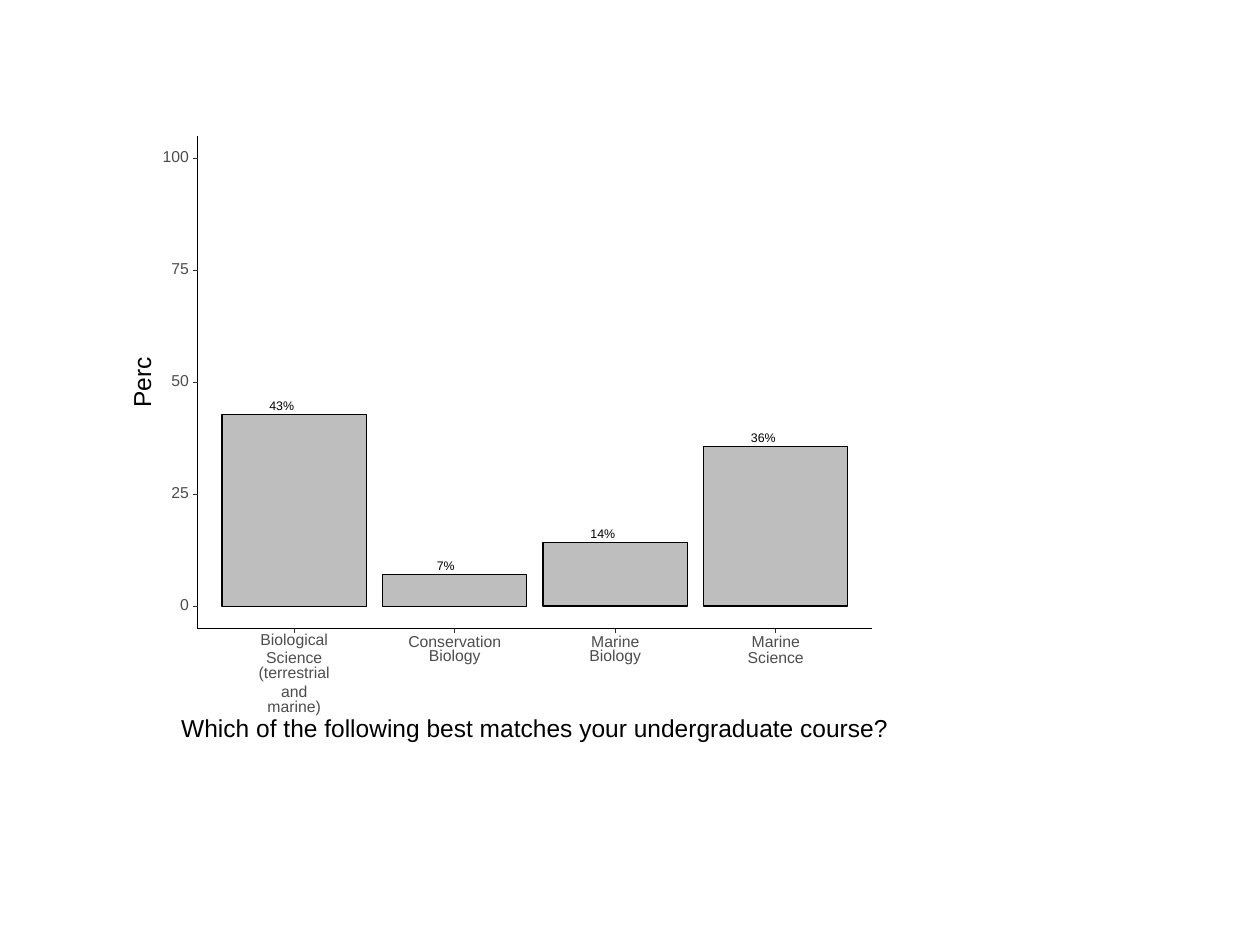
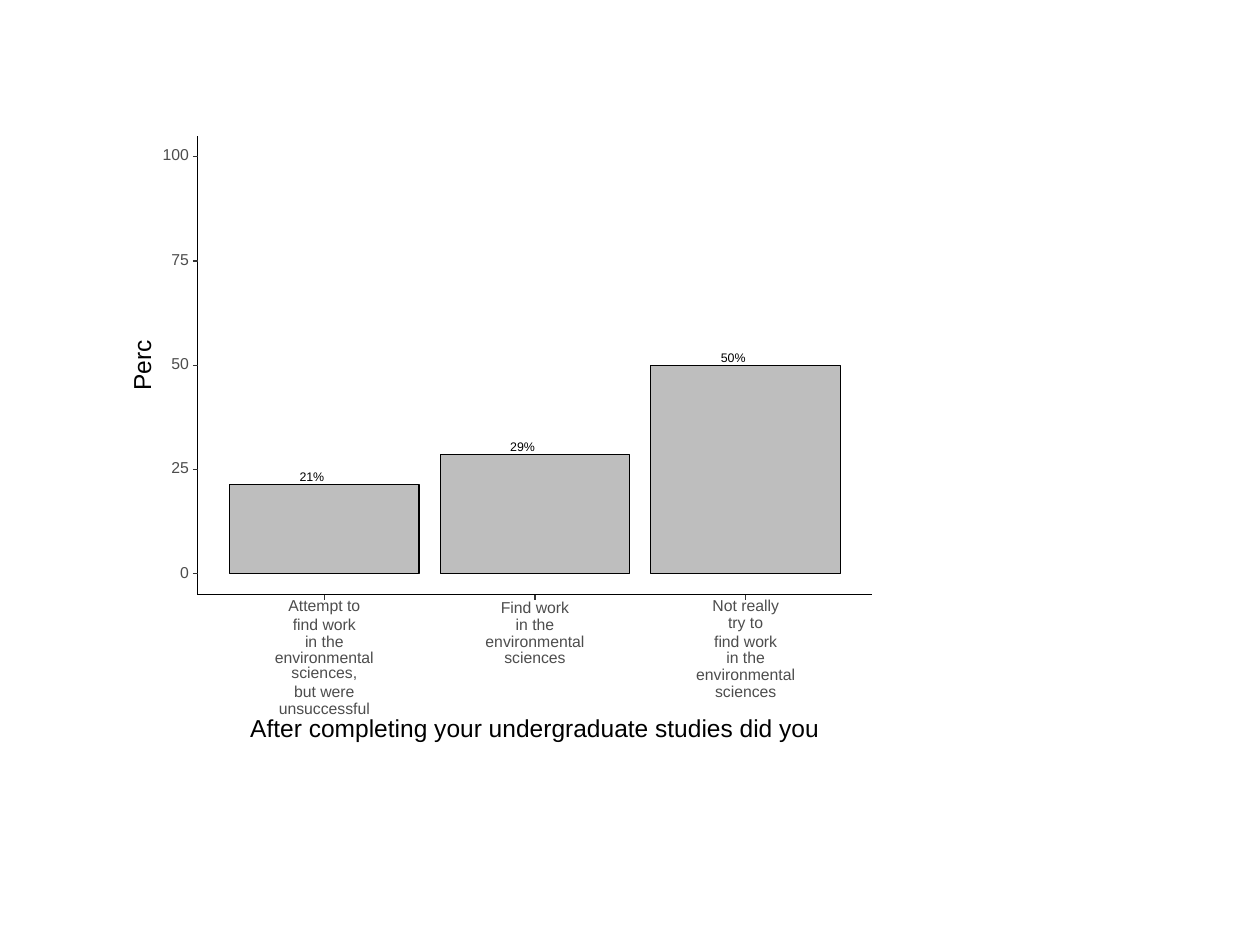
from dataclasses import dataclass
from pptx import Presentation
from pptx.dml.color import RGBColor
from pptx.enum.shapes import MSO_CONNECTOR, MSO_SHAPE
from pptx.enum.text import MSO_ANCHOR, PP_ALIGN
from pptx.oxml.ns import qn
from pptx.util import Cm, Pt
from lxml.etree import SubElement


@dataclass(frozen=True)
class Theme:
    font: str = "Arial"
    white: str = "FFFFFF"
    bar: str = "BEBEBE"
    ink: str = "000000"
    tick: str = "333333"
    soft: str = "4D4D4D"
    small: float = 7.1
    body: float = 9
    head: float = 14
    thin: float = 0.64
    edge: float = 1.07


@dataclass(frozen=True)
class Box:
    x: float
    y: float
    w: float
    h: float

    @property
    def right(self):
        return self.x + self.w

    @property
    def base(self):
        return self.y + self.h

    def level(self, value):
        return self.base - self.h * (value - LOW) / (HIGH - LOW)


THEME = Theme()
FRAME = Box(2.54, 2.54, 15.24, 12.7)
LOW, HIGH = -5, 105
TICK = 0.1
PITCH = 0.34
SHIFT = {PP_ALIGN.CENTER: 0.5, PP_ALIGN.RIGHT: 1}

CHARTS = [
    ("Which of the following best matches your undergraduate course?", [
        (6, ["Biological", "Science", "(terrestrial", "and", "marine)"]),
        (1, ["Conservation", "Biology"]),
        (2, ["Marine", "Biology"]),
        (5, ["Marine", "Science"]),
    ]),
    ("After completing your undergraduate studies did you", [
        (3, ["Attempt to", "find work", "in the", "environmental",
             "sciences,", "but were", "unsuccessful"]),
        (4, ["Find work", "in the", "environmental", "sciences"]),
        (7, ["Not really", "try to", "find work", "in the",
             "environmental", "sciences"]),
    ]),
]


def color(code):
    return RGBColor.from_string(code)


def add_rect(slide, box, fill, line=None, width=THEME.thin):
    rect = slide.shapes.add_shape(
        MSO_SHAPE.RECTANGLE, Cm(box.x), Cm(box.y), Cm(box.w), Cm(box.h))
    rect.shadow.inherit = False
    rect.fill.solid()
    rect.fill.fore_color.rgb = color(fill)
    if line:
        rect.line.color.rgb = color(line)
        rect.line.width = Pt(width)
    else:
        rect.line.fill.background()


def add_line(slide, x1, y1, x2, y2, ink):
    line = slide.shapes.add_connector(
        MSO_CONNECTOR.STRAIGHT, Cm(x1), Cm(y1), Cm(x2), Cm(y2))
    line.line.color.rgb = color(ink)
    line.line.width = Pt(THEME.thin)
    SubElement(line._element.spPr, qn("a:effectLst"))


def add_text(slide, words, x, y, w, size, ink,
             align=PP_ALIGN.CENTER, turn=0):
    tall = 0.04 * size
    left = x - w * SHIFT[align]
    label = slide.shapes.add_textbox(
        Cm(left), Cm(y - tall / 2), Cm(w), Cm(tall))
    label.rotation = turn
    frame = label.text_frame
    frame.word_wrap = True
    frame.vertical_anchor = MSO_ANCHOR.MIDDLE
    frame.margin_left = frame.margin_right = 0
    frame.margin_top = frame.margin_bottom = 0
    para = frame.paragraphs[0]
    para.alignment = align
    para.line_spacing = Pt(size)
    run = para.add_run()
    run.text = words
    run.font.name = THEME.font
    run.font.size = Pt(size)
    run.font.color.rgb = color(ink)


def draw_bars(slide, panel, rows):
    total = sum(count for count, _ in rows)
    unit = panel.w / (len(rows) + 0.2)
    mids = [panel.x + unit * (0.6 + i) for i in range(len(rows))]
    zero = panel.level(0)
    for mid, (count, _) in zip(mids, rows):
        share = 100 * count / total
        top = panel.level(share)
        bar = Box(mid - 0.45 * unit, top, 0.9 * unit, zero - top)
        add_rect(slide, bar, THEME.bar, THEME.ink)
        add_text(slide, f"{share:.0f}%", mid, top - 0.14, 0.6,
                 THEME.small, THEME.ink, PP_ALIGN.RIGHT)
    return mids


def draw_scale(slide, panel):
    add_line(slide, panel.x, panel.base, panel.x, panel.y, THEME.ink)
    for value in range(0, 101, 25):
        y = panel.level(value)
        add_text(slide, str(value), panel.x - 0.18, y - 0.01, 0.6,
                 THEME.body, THEME.soft, PP_ALIGN.RIGHT)
        add_line(slide, panel.x - TICK, y, panel.x, y, THEME.tick)


def draw_names(slide, panel, rows, mids):
    add_line(slide, panel.x, panel.base, panel.right, panel.base, THEME.ink)
    for mid, (_, lines) in zip(mids, rows):
        add_line(slide, mid, panel.base + TICK, mid, panel.base, THEME.tick)
        for i, words in enumerate(lines):
            lift = 0.04 if set(words) & set("gpy(),") else 0
            y = panel.base + 0.28 + PITCH * i - lift
            add_text(slide, words, mid, y, 2.4, THEME.body, THEME.soft)


def draw_chart(slide, frame, title, rows):
    depth = 0.87 + PITCH * max(len(lines) for _, lines in rows)
    panel = Box(frame.x + 1.45, frame.y + 0.2,
                frame.w - 1.65, frame.h - 0.2 - depth)
    add_rect(slide, frame, THEME.white, THEME.white, THEME.edge)
    add_rect(slide, panel, THEME.white)
    mids = draw_bars(slide, panel, rows)
    draw_scale(slide, panel)
    draw_names(slide, panel, rows, mids)
    add_text(slide, title, panel.x + panel.w / 2, frame.base - 0.53,
             15, THEME.head, THEME.ink)
    add_text(slide, "Perc", frame.x + 0.36, panel.y + panel.h / 2,
             1.4, THEME.head, THEME.ink, turn=270)


def main():
    deck = Presentation()
    deck.slide_width, deck.slide_height = Cm(25.4), Cm(19.05)
    for title, rows in CHARTS:
        slide = deck.slides.add_slide(deck.slide_layouts[6])
        draw_chart(slide, FRAME, title, rows)
    deck.save("out.pptx")


if __name__ == "__main__":
    main()
